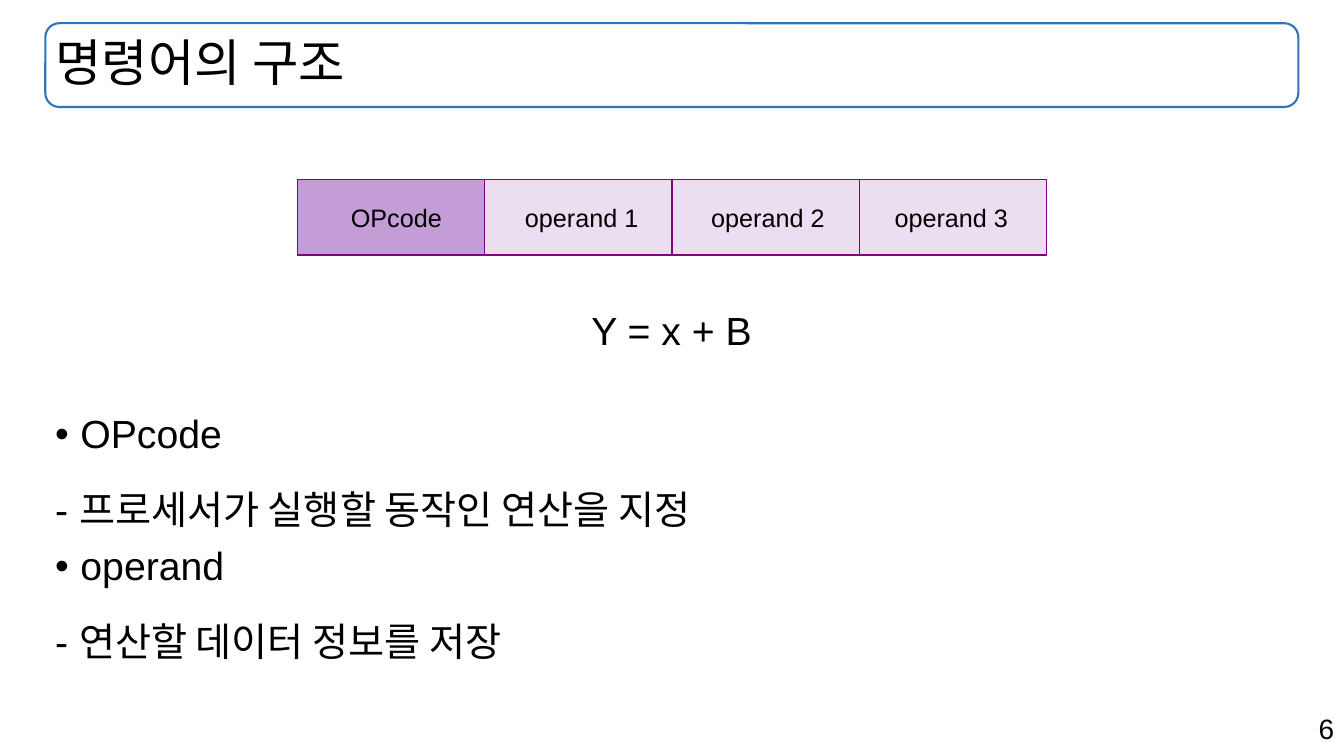
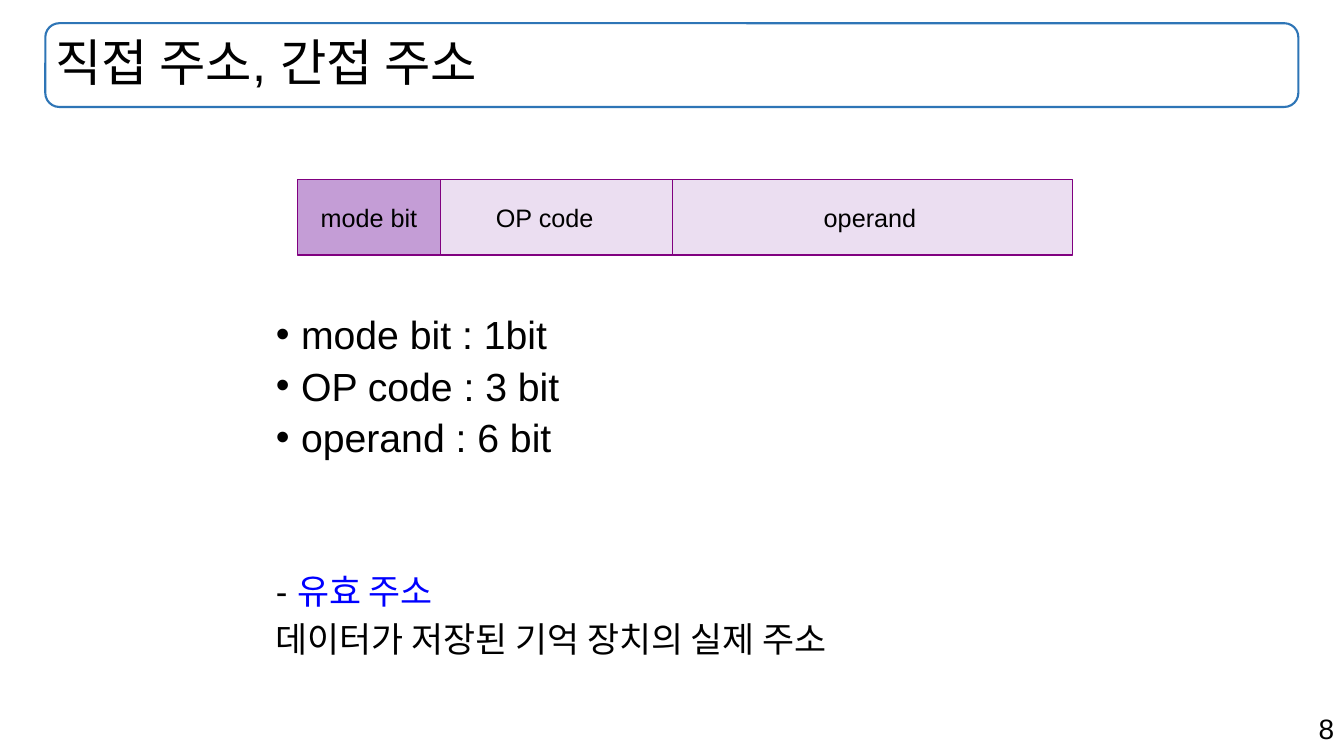
"""Build two slides on instruction formats and addressing."""
from pptx import Presentation
from pptx.dml.color import RGBColor
from pptx.enum import shapes, text
from pptx.oxml import ns
from pptx.util import Pt
from lxml import etree

BLACK = RGBColor(0x00, 0x00, 0x00)
BLUE = RGBColor(0x00, 0x00, 0xFF)
FRAME_BLUE = RGBColor(0x2E, 0x75, 0xB6)
PURPLE = RGBColor(0x80, 0x00, 0x80)
FIRST_FILL = RGBColor(0xC4, 0x9D, 0xD6)
FIELD_FILL = RGBColor(0xEB, 0xDE, 0xF1)
FONT = "Arial"
MARGIN, CONTENT_WIDTH = 32.4, 895
FIELD_LEFT, FIELD_TOP, FIELD_HEIGHT = 212.4, 128.2, 54
BULLET_INDENT = 18


def add_run(paragraph, content, size, color=BLACK):
    run = paragraph.add_run()
    run.text = content
    run.font.name = FONT
    run.font.size = Pt(size)
    run.font.color.rgb = color


def add_paragraph(frame, runs, size, spacing=1.0, before=0, bullet=False):
    first = not frame.paragraphs[0].runs
    paragraph = frame.paragraphs[0] if first else frame.add_paragraph()
    paragraph.alignment = text.PP_ALIGN.LEFT
    paragraph.line_spacing = spacing
    paragraph.space_before = Pt(0 if first else before)
    if bullet:
        properties = paragraph._p.get_or_add_pPr()
        properties.set("marL", str(Pt(BULLET_INDENT)))
        properties.set("indent", str(-Pt(BULLET_INDENT)))
        etree.SubElement(properties, ns.qn("a:buFont"), typeface=FONT)
        etree.SubElement(properties, ns.qn("a:buChar"), char="•")
    for content, color in runs:
        add_run(paragraph, content, size, color)
    return paragraph


def add_text_box(slide, left, top, width, height):
    frame = slide.shapes.add_textbox(Pt(left), Pt(top), Pt(width), Pt(height)).text_frame
    frame.word_wrap = True
    return frame


def add_outlined_shape(slide, kind, left, top, width, height, line, weight, inset):
    shape = slide.shapes.add_shape(kind, Pt(left), Pt(top), Pt(width), Pt(height))
    shape.shadow.inherit = False
    shape.fill.background()
    shape.line.color.rgb = line
    shape.line.width = Pt(weight)
    frame = shape.text_frame
    frame.word_wrap = True
    frame.vertical_anchor = text.MSO_ANCHOR.MIDDLE
    frame.margin_left = Pt(inset)
    frame.margin_right = 0
    return shape


def add_base_slide(presentation, title, number):
    slide = presentation.slides.add_slide(presentation.slide_layouts[6])
    page = add_text_box(slide, 679, 504.7, 281, 31.7)
    add_paragraph(page, [(number, BLACK)], 20).alignment = text.PP_ALIGN.RIGHT
    frame = add_outlined_shape(slide, shapes.MSO_SHAPE.ROUNDED_RECTANGLE, MARGIN, 16.6,
                               CONTENT_WIDTH, 59.8, FRAME_BLUE, 1.5, 4.3)
    add_paragraph(frame.text_frame, [(title, BLACK)], 36, 0.9)
    return slide


def add_instruction_format(slide, fields):
    left = FIELD_LEFT
    for index, (label, width, inset) in enumerate(fields):
        field = add_outlined_shape(slide, shapes.MSO_SHAPE.RECTANGLE, left, FIELD_TOP,
                                   width, FIELD_HEIGHT, PURPLE, 1, inset)
        field.fill.solid()
        field.fill.fore_color.rgb = FIELD_FILL if index else FIRST_FILL
        add_paragraph(field.text_frame, [(label, BLACK)], 18)
        left += width


def build_structure_slide(presentation):
    slide = add_base_slide(presentation, "명령어의 구조", "6")
    add_instruction_format(slide, [
        ("OPcode", 133.8, 38.2),
        ("operand 1", 133.8, 28.8),
        ("operand 2", 133.8, 28),
        ("operand 3", 133.8, 25.2),
    ])
    formula = add_text_box(slide, 415.4, 215.3, 129, 40.3)
    add_paragraph(formula, [("Y = x + B", BLACK)], 28)
    body = add_text_box(slide, MARGIN, 293, CONTENT_WIDTH, 196.6)
    for term, meaning in (("OPcode", "- 프로세서가 실행할 동작인 연산을 지정"),
                          ("operand", "- 연산할 데이터 정보를 저장")):
        add_paragraph(body, [(term, BLACK)], 28, 0.9, 10, bullet=True)
        add_paragraph(body, [(meaning, BLACK)], 28, 1.6)


def build_addressing_slide(presentation):
    slide = add_base_slide(presentation, "직접 주소, 간접 주소", "8")
    add_instruction_format(slide, [
        ("mode bit", 102.2, 16.6),
        ("OP code", 165.8, 39.6),
        ("operand", 285.6, 108),
    ])
    body = add_text_box(slide, 190, 224.6, 580.3, 260)
    for item in ("mode bit : 1bit", "OP code : 3 bit", "operand : 6 bit"):
        add_paragraph(body, [(item, BLACK)], 28, 0.8, 10, bullet=True)
    add_paragraph(body, [("- ", BLACK), ("유효 주소", BLUE)], 24.9, 0.8, 84)
    add_paragraph(body, [("데이터가 저장된 기억 장치의 실제 주소", BLACK)], 24.9, 0.8, 10)


def main():
    presentation = Presentation()
    presentation.slide_width = Pt(960)
    presentation.slide_height = Pt(540)
    build_structure_slide(presentation)
    build_addressing_slide(presentation)
    presentation.save("out.pptx")


if __name__ == "__main__":
    main()
